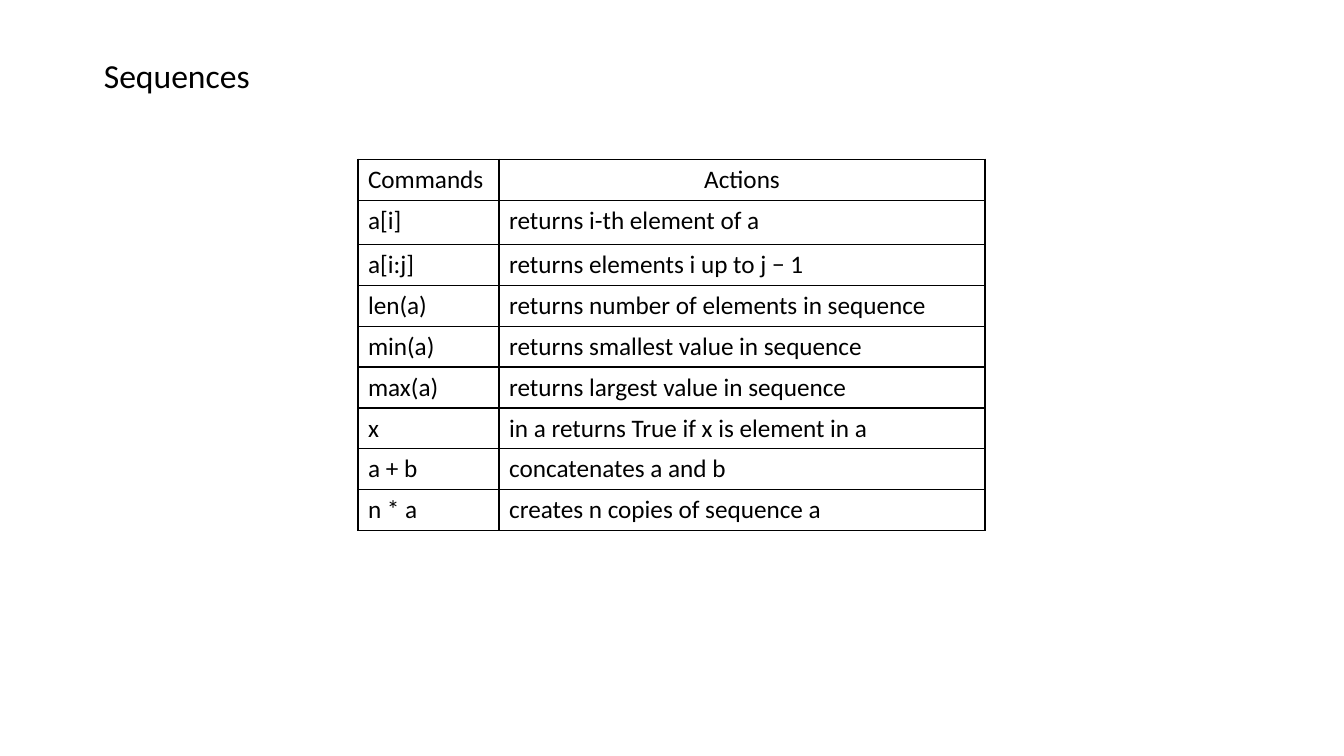
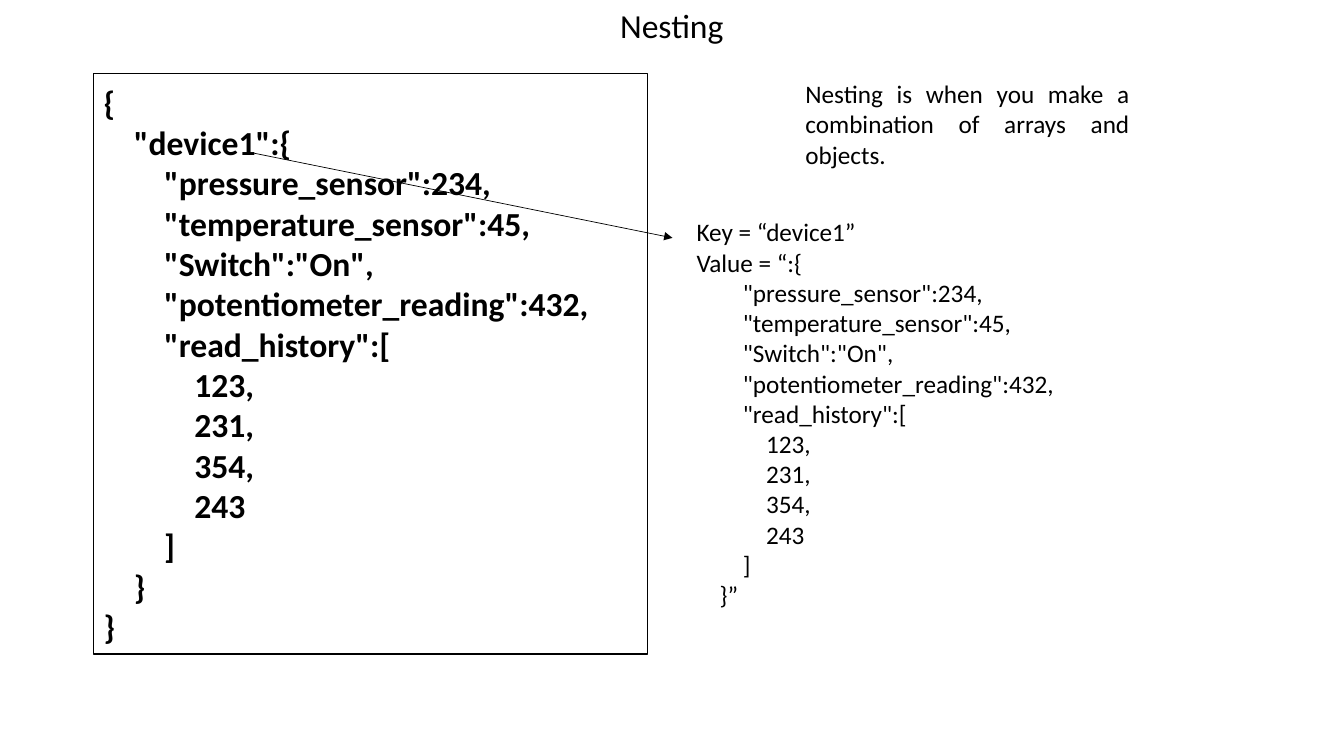
from pptx import Presentation
from pptx.dml.color import RGBColor
from pptx.enum.shapes import MSO_CONNECTOR, MSO_SHAPE
from pptx.enum.text import MSO_ANCHOR, MSO_AUTO_SIZE, PP_ALIGN
from pptx.oxml.ns import qn
from pptx.util import Inches, Pt
from lxml import etree

BLACK = RGBColor(0x00, 0x00, 0x00)
WHITE = RGBColor(0xFF, 0xFF, 0xFF)
FONT = "Calibri"
LEFT, CENTER, JUSTIFY = PP_ALIGN.LEFT, PP_ALIGN.CENTER, PP_ALIGN.JUSTIFY
TOP, MIDDLE = MSO_ANCHOR.TOP, MSO_ANCHOR.MIDDLE
TITLE_ONLY = 5

prs = Presentation()
prs.slide_width = Inches(13.33)
prs.slide_height = Inches(7.5)


def write(tf, lines, size, bold=False, align=LEFT, step=0):
    """Fill a text frame with (level, text) lines, indented step inches a level."""
    for i, (level, text) in enumerate(lines):
        p = tf.paragraphs[0] if i == 0 else tf.add_paragraph()
        p.alignment = align
        if level:
            pPr = p._p.get_or_add_pPr()
            pPr.set("marL", str(Inches(level * step)))
            pPr.set("indent", "0")
        r = p.add_run()
        r.text = text
        r.font.name = FONT
        r.font.size = Pt(size)
        r.font.bold = bold
        r.font.color.rgb = BLACK


def add_titled_slide(text, left, top, width):
    s = prs.slides.add_slide(prs.slide_layouts[TITLE_ONLY])
    title = s.shapes.title
    title.left, title.top = Inches(left), Inches(top)
    title.width, title.height = Inches(width), Inches(0.5)
    tf = title.text_frame
    tf.word_wrap = False
    tf.auto_size = MSO_AUTO_SIZE.NONE
    tf.vertical_anchor = TOP
    write(tf, [(0, text)], 24)
    return s


# Sequences: table of commands
ROWS = [
    ("Commands", "Actions"),
    ("a[i]", "returns i-th element of a"),
    ("a[i:j]", "returns elements i up to j − 1"),
    ("len(a)", "returns number of elements in sequence"),
    ("min(a)", "returns smallest value in sequence"),
    ("max(a)", "returns largest value in sequence"),
    ("x", "in a returns True if x is element in a"),
    ("a + b", "concatenates a and b"),
    ("n * a", "creates n copies of sequence a"),
]
COL_WIDTHS = (1.4, 4.82)
ROW_HEIGHTS = [0.4, 0.44] + [0.4] * 7

s = add_titled_slide("Sequences", 0.93, 0.49, 1.67)
table = s.shapes.add_table(
    len(ROWS), len(COL_WIDTHS), Inches(3.55), Inches(1.58),
    Inches(sum(COL_WIDTHS)), Inches(sum(ROW_HEIGHTS))).table
table.first_row = table.horz_banding = False
for col, width in zip(table.columns, COL_WIDTHS):
    col.width = Inches(width)
for row, height, texts in zip(table.rows, ROW_HEIGHTS, ROWS):
    row.height = Inches(height)
    for cell, text in zip(row.cells, texts):
        write(cell.text_frame, [(0, text)], 18,
              align=CENTER if text == "Actions" else LEFT)
        tcPr = cell._tc.get_or_add_tcPr()
        for side in ("a:lnL", "a:lnR", "a:lnT", "a:lnB"):
            ln = etree.SubElement(tcPr, qn(side), w=str(Pt(1)))
            fill = etree.SubElement(ln, qn("a:solidFill"))
            etree.SubElement(fill, qn("a:srgbClr"), val=str(BLACK))
        cell.fill.solid()
        cell.fill.fore_color.rgb = WHITE

# Nesting: JSON object, its definition and one key-value pair
DEVICE = [
    (2, '"pressure_sensor":234,'),
    (2, '"temperature_sensor":45,'),
    (2, '"Switch":"On",'),
    (2, '"potentiometer_reading":432,'),
    (2, '"read_history":['),
    (3, "123,"),
    (3, "231,"),
    (3, "354,"),
    (3, "243"),
    (2, "]"),
]

s = add_titled_slide("Nesting", 6.05, 0, 1.24)

json_box = s.shapes.add_shape(
    MSO_SHAPE.RECTANGLE, Inches(0.93), Inches(0.73), Inches(5.49), Inches(5.76))
json_box.shadow.inherit = False
json_box.fill.solid()
json_box.fill.fore_color.rgb = WHITE
json_box.line.color.rgb = BLACK
json_box.line.width = Pt(1)
tf = json_box.text_frame
tf.word_wrap = True
tf.vertical_anchor = MIDDLE
write(tf, [(0, "{"), (1, '"device1":{'), *DEVICE, (1, "}"), (0, "}")],
      24, bold=True, step=0.3)

definition = s.shapes.add_textbox(
    Inches(7.89), Inches(0.73), Inches(3.41), Inches(1.01))
definition.text_frame.word_wrap = True
write(definition.text_frame,
      [(0, "Nesting is when you make a combination of arrays and objects.")],
      18, align=JUSTIFY)

arrow = s.shapes.add_connector(
    MSO_CONNECTOR.STRAIGHT, Inches(2.52), Inches(1.52), Inches(6.67), Inches(2.36))
arrow.line.color.rgb = BLACK
arrow.line.width = Pt(0.5)
etree.SubElement(arrow.line._get_or_add_ln(), qn("a:tailEnd"), type="triangle")
etree.SubElement(arrow._element.spPr, qn("a:effectLst"))

pair = s.shapes.add_textbox(
    Inches(6.81), Inches(2.1), Inches(3.85), Inches(4.04))
pair.text_frame.word_wrap = True
write(pair.text_frame,
      [(0, "Key = “device1”"), (0, "Value = “:{"), *DEVICE, (1, "}”")],
      18, step=0.23)

prs.save("out.pptx")
